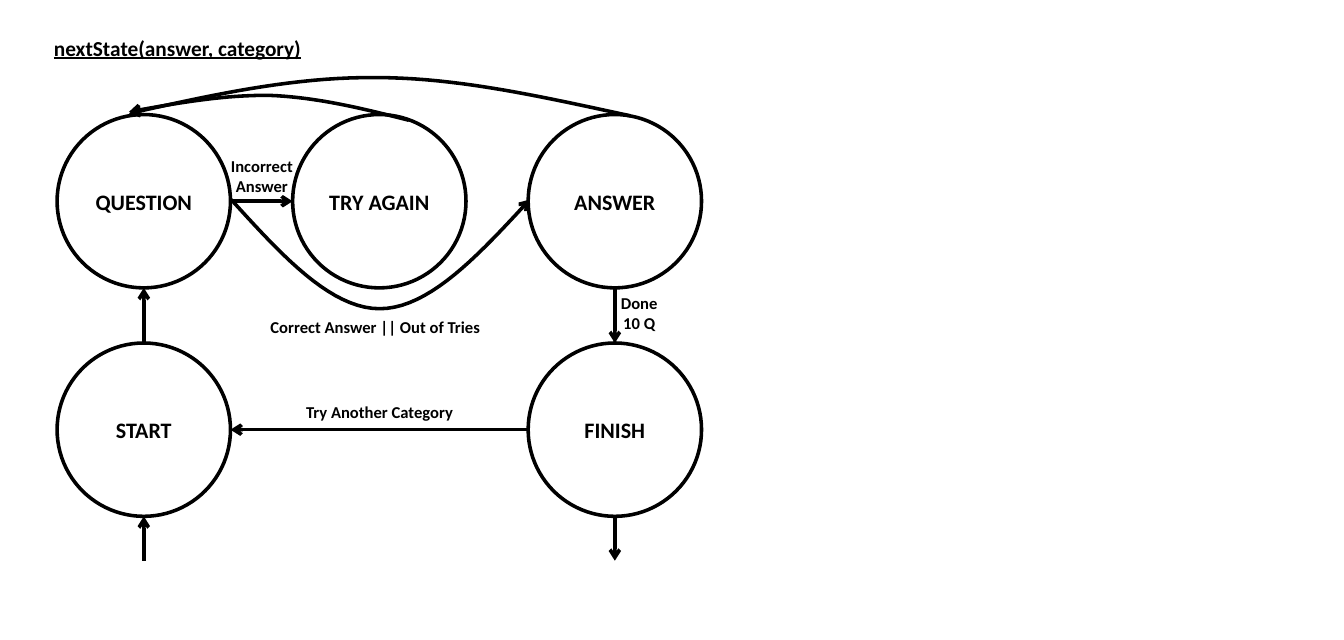
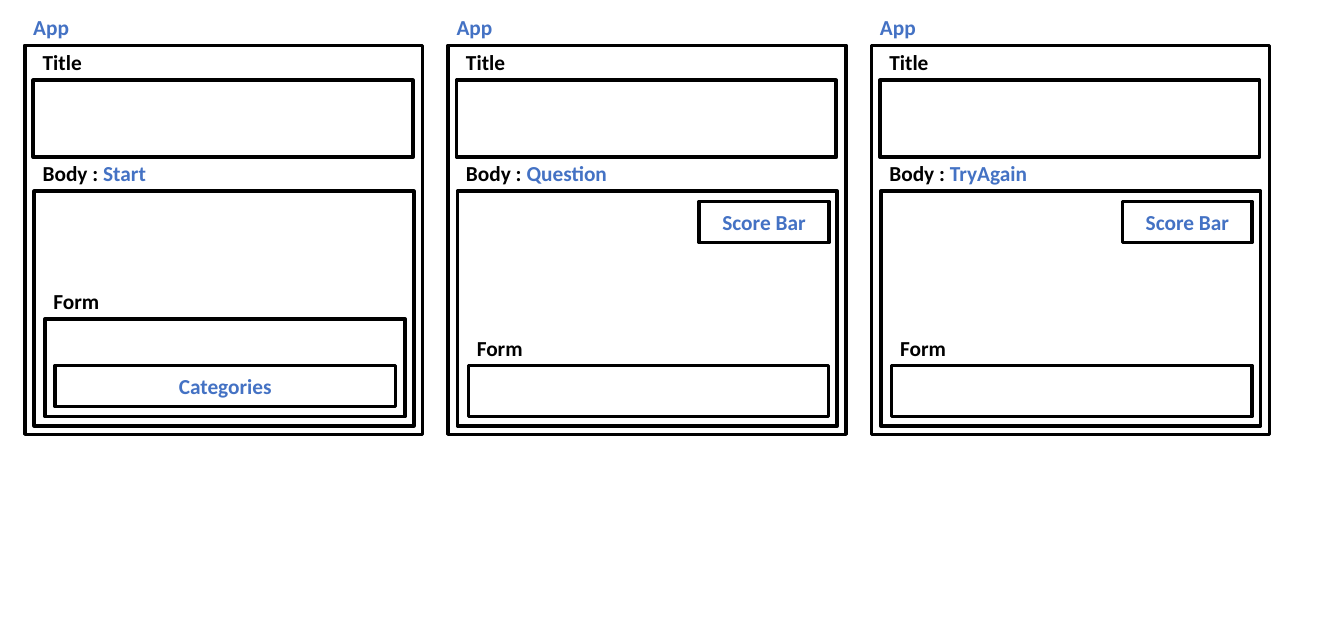
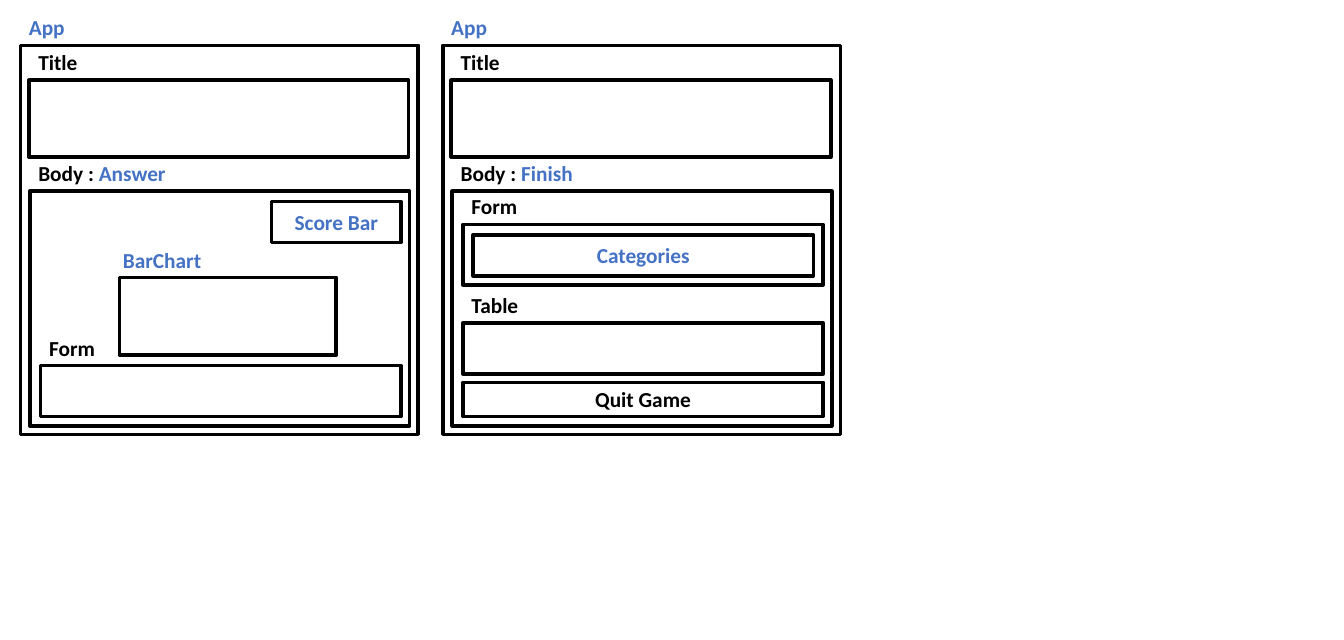
"""Draw the quiz state diagram and the page layout of each state."""
import pptx
import pptx.util
import pptx.dml.color
import pptx.enum.shapes
import pptx.enum.text
import pptx.oxml
import pptx.oxml.ns

Cm = pptx.util.Cm
Pt = pptx.util.Pt
Kind = pptx.enum.shapes.MSO_SHAPE
Align = pptx.enum.text.PP_ALIGN
Anchor = pptx.enum.text.MSO_ANCHOR
Fit = pptx.enum.text.MSO_AUTO_SIZE

COLORS = {"ink": "000000", "paper": "FFFFFF", "blue": "4472C4"}
FONT = "Calibri"
DISC = 5.16
COLS = [1.7 + 7.01 * i for i in range(3)]
ROWS = [3.41, 10.21]
TOP = 1.35
INSET = 0.6
INNER = 10.72
GAP = 1.04


def color(name):
    """Return the named colour."""
    return pptx.dml.color.RGBColor.from_string(COLORS[name])


def write(shape, text, accent="", size=18, ink="ink", align=Align.LEFT,
          anchor=Anchor.TOP, wrap=True, under=None):
    """Fill a shape with bold text, ending in an optional blue accent."""
    frame = shape.text_frame
    frame.word_wrap = wrap
    frame.vertical_anchor = anchor
    lines = [[(line, ink)] for line in text.split("\n")]
    if accent:
        lines[-1].append((accent, "blue"))
    for i, line in enumerate(lines):
        para = frame.add_paragraph() if i else frame.paragraphs[0]
        para.alignment = align
        for part, tone in line:
            run = para.add_run()
            run.text = part
            font = run.font
            font.name, font.size, font.bold = FONT, Pt(size), True
            font.underline = under
            font.color.rgb = color(tone)


def label(slide, x, y, w, h, text, **style):
    """Add a text box that grows with its text."""
    box = slide.shapes.add_textbox(Cm(x), Cm(y), Cm(w), Cm(h))
    write(box, text, **style)
    box.text_frame.auto_size = Fit.SHAPE_TO_FIT_TEXT


def stroke(line):
    """Set the line that all shapes share."""
    line.color.rgb = color("ink")
    line.width = Pt(3)


def block(slide, x, y, w, h, text="", kind=Kind.RECTANGLE, **style):
    """Add a white outlined shape with centred text."""
    shape = slide.shapes.add_shape(kind, Cm(x), Cm(y), Cm(w), Cm(h))
    shape.shadow.inherit = False
    shape.fill.solid()
    shape.fill.fore_color.rgb = color("paper")
    stroke(shape.line)
    if text:
        write(shape, text, align=Align.CENTER, anchor=Anchor.MIDDLE, **style)


def point(line):
    """End a line with an open arrowhead."""
    stroke(line)
    tail = pptx.oxml.parse_xml(
        '<a:tailEnd %s type="arrow"/>' % pptx.oxml.ns.nsdecls("a"))
    line._get_or_add_ln().append(tail)


def arrow(slide, x1, y1, x2, y2):
    """Add a straight arrow."""
    kind = pptx.enum.shapes.MSO_CONNECTOR.STRAIGHT
    link = slide.shapes.add_connector(kind, Cm(x1), Cm(y1), Cm(x2), Cm(y2))
    point(link.line)
    link._element.spPr.append(pptx.oxml.parse_xml(
        "<a:effectLst %s/>" % pptx.oxml.ns.nsdecls("a")))


def bezier(a, b, c, d, t):
    """Return the point at t on a cubic curve."""
    s = 1 - t
    return tuple(Cm(s**3 * p + 3 * s * s * t * q + 3 * s * t * t * r + t**3 * u)
                 for p, q, r, u in zip(a, b, c, d))


def curve(slide, knots, steps=20):
    """Add an arrow along joined cubic curves."""
    dots = [bezier(*knots[k:k + 4], i / steps)
            for k in range(0, len(knots) - 1, 3)
            for i in range(1, steps + 1)]
    start = [Cm(v) for v in knots[0]]
    path = slide.shapes.build_freeform(*start)
    path.add_line_segments(dots, close=False)
    shape = path.convert_to_shape()
    shape.shadow.inherit = False
    shape.fill.background()
    point(shape.line)


def field(slide, x, y, w, h, text, wide, shift=0, **style):
    """Add a box with a label above its left edge."""
    block(slide, x, y, w, h)
    label(slide, x + shift, y - GAP, wide, 1.02, text, wrap=False, **style)


def panel(slide, x, state, wide):
    """Add the app frame, title and body of one state."""
    field(slide, x, TOP, 11.84, 11.58, "App", 1.57, ink="blue")
    field(slide, x + 0.25, TOP + 1.04, 11.3, 2.29, "Title", 1.68, 0.03)
    field(slide, x + 0.28, TOP + 4.34, 11.3, 6.99, "Body : ", wide,
          accent=state)


def form(slide, x, y, h, text="Form", wide=1.88):
    """Add a labelled box as wide as the body allows."""
    field(slide, x + INSET, TOP + y, INNER, h, text, wide)


def topics(slide, x, y):
    """Add the categories box."""
    block(slide, x + 0.9, TOP + y, 10.13, 1.22, "Categories", ink="blue")


def score(slide, x):
    """Add the score bar and the form below it."""
    block(slide, x + 7.47, TOP + 4.65, 3.86, 1.22, "Score Bar", ink="blue")
    form(slide, x, 9.53, 1.52)


def states(deck):
    """Build the state diagram."""
    slide = deck.slides.add_slide(deck.slide_layouts[5])
    title = slide.shapes.title
    title.left, title.top = Cm(1.35), Cm(0.91)
    title.width, title.height = Cm(7.92), Cm(1.02)
    write(title, "nextState(answer, category)", wrap=False, under=True)
    title.text_frame.auto_size = Fit.NONE

    for col, row, name in [(0, 1, "START"), (0, 0, "QUESTION"),
                           (1, 0, "TRY AGAIN"), (2, 0, "ANSWER"),
                           (2, 1, "FINISH")]:
        block(slide, COLS[col], ROWS[row], DISC, DISC, name, Kind.OVAL,
              size=18.6)

    left, right = COLS[0] + DISC / 2, COLS[2] + DISC / 2
    high, low = [y + DISC / 2 for y in ROWS]
    edge = COLS[0] + DISC
    feet = [y + DISC for y in ROWS]
    arrow(slide, left, ROWS[1], left, feet[0])
    arrow(slide, left, 16.69, left, feet[1])
    arrow(slide, right, feet[0], right, ROWS[1])
    arrow(slide, right, feet[1], right, 16.69)
    arrow(slide, edge, high, COLS[1], high)
    arrow(slide, COLS[2], low, edge, low)
    curve(slide, [(18.77, 3.45), (16.21, 2.9), (13.67, 2.31), (11.18, 2.31),
                  (8.69, 2.29), (6.25, 2.84), (3.84, 3.38)])
    curve(slide, [(12.17, 3.58), (10.8, 3.23), (9.45, 2.9), (8.05, 2.84),
                  (6.65, 2.82), (5.26, 3.07), (3.84, 3.33)])
    curve(slide, [(6.88, 5.94), (8.36, 7.57), (9.83, 9.19), (11.3, 9.19),
                  (12.78, 9.19), (14.27, 7.57), (15.77, 5.94)])

    label(slide, 7.8, 9.3, 6.78, 0.86, "Correct Answer || Out of Tries",
          size=14, wrap=False)
    label(slide, 8.86, 11.84, 4.9, 0.86, "Try Another Category",
          size=14, wrap=False)
    label(slide, 5.94, 4.52, 3.71, 1.45, "Incorrect Answer",
          size=14, align=Align.CENTER)
    label(slide, 17.17, 8.59, 3.71, 1.45, "Done\n10 Q",
          size=14, align=Align.CENTER)


def play(deck):
    """Build the start, question and try again pages."""
    slide = deck.slides.add_slide(deck.slide_layouts[6])
    start, ask, again = [0.74 + 12.6 * i for i in range(3)]
    panel(slide, start, "Start", 3.61)
    form(slide, start, 8.15, 2.9)
    topics(slide, start, 9.53)
    for x, state, wide in [(ask, "Question", 4.75), (again, "TryAgain", 4.65)]:
        panel(slide, x, state, wide)
        score(slide, x)


def close(deck):
    """Build the answer and finish pages."""
    slide = deck.slides.add_slide(deck.slide_layouts[6])
    reply, end = [0.61 + 12.57 * i for i in range(2)]
    panel(slide, reply, "Answer", 4.34)
    score(slide, reply)
    field(slide, reply + 2.95, TOP + 6.91, 6.45, 2.31, "BarChart", 2.87,
          -0.15, ink="blue")
    panel(slide, end, "Finish", 3.89)
    form(slide, end, 5.33, 1.8)
    topics(slide, end, 5.64)
    form(slide, end, 8.26, 1.52, "Table", 1.9)
    block(slide, end + INSET, TOP + 10.03, INNER, 1.02, "Quit Game")


def main():
    """Build and save the deck."""
    deck = pptx.Presentation()
    deck.slide_width, deck.slide_height = Cm(40), Cm(19.05)
    states(deck)
    play(deck)
    close(deck)
    deck.save("out.pptx")


main()
